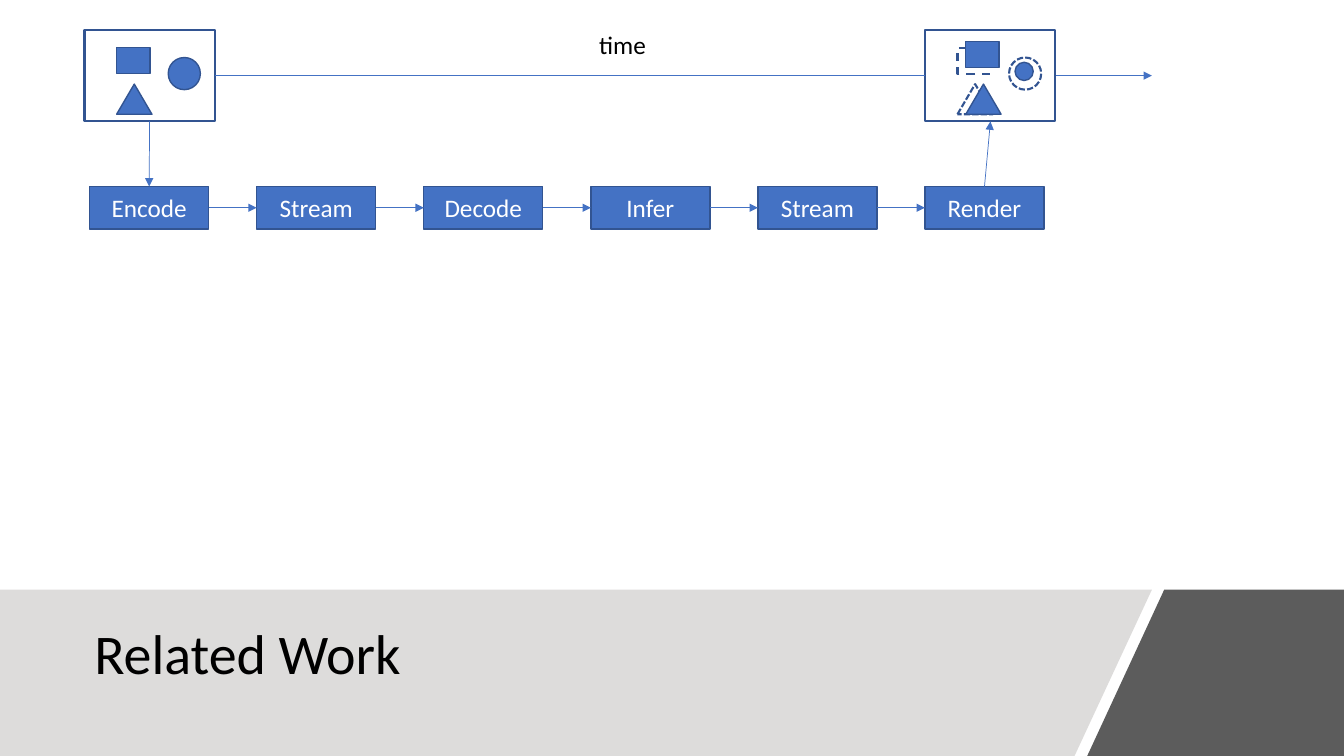
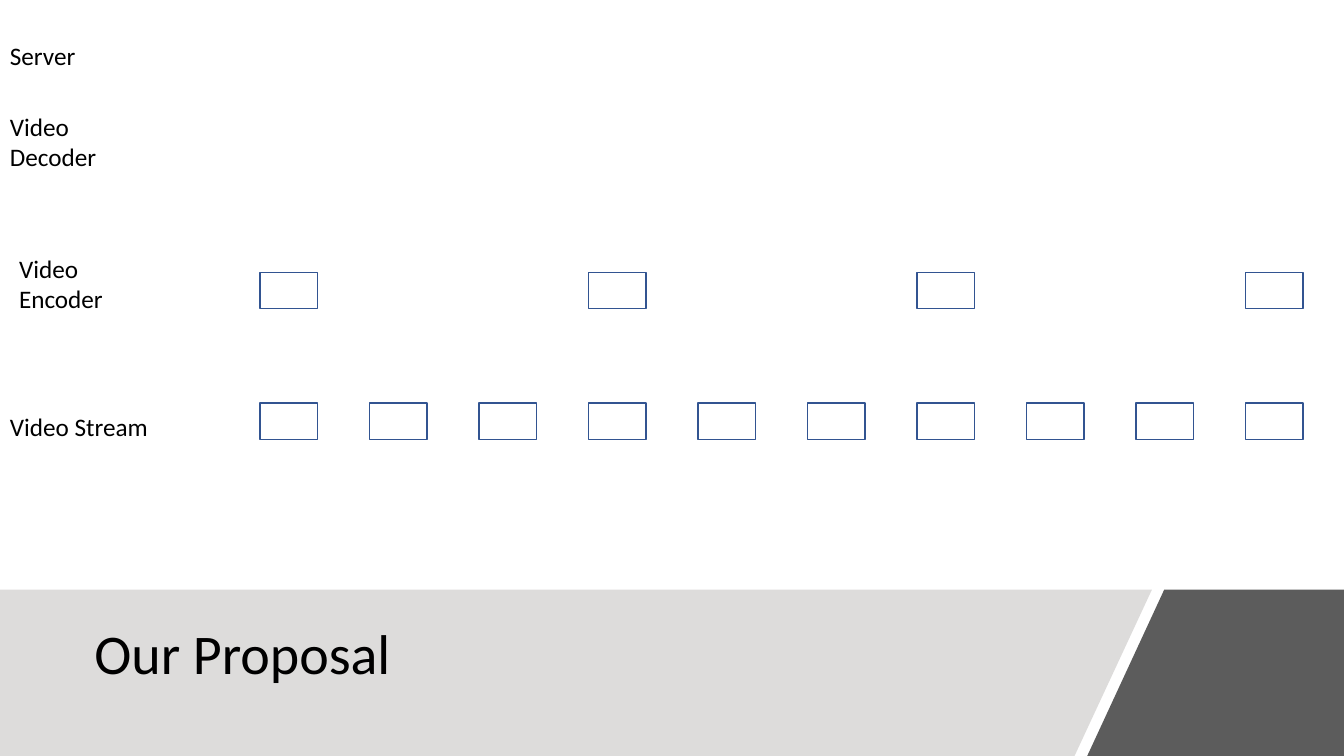
"""Builds two slides: a video inference pipeline and a proposed frame schedule."""
from lxml import etree
from pptx import Presentation
from pptx.dml.color import RGBColor
from pptx.enum.dml import MSO_LINE
from pptx.enum.shapes import MSO_CONNECTOR, MSO_SHAPE
from pptx.enum.text import MSO_ANCHOR, MSO_AUTO_SIZE, PP_ALIGN
from pptx.oxml.ns import qn
from pptx.util import Cm, Pt

RECT, OVAL, TRIANGLE = MSO_SHAPE.RECTANGLE, MSO_SHAPE.OVAL, MSO_SHAPE.ISOSCELES_TRIANGLE
STRAIGHT = MSO_CONNECTOR.STRAIGHT
DASH, SHORT_DASH = MSO_LINE.DASH, MSO_LINE.SQUARE_DOT
LEFT, CENTER = PP_ALIGN.LEFT, PP_ALIGN.CENTER
TOP, MIDDLE, BOTTOM = MSO_ANCHOR.TOP, MSO_ANCHOR.MIDDLE, MSO_ANCHOR.BOTTOM
GROW = MSO_AUTO_SIZE.SHAPE_TO_FIT_TEXT
TOP_SIDE, LEFT_SIDE, BOTTOM_SIDE, RIGHT_SIDE = range(4)

FONT = "Calibri"
BLUE, NAVY, BLACK, WHITE = "4472C4", "325491", "000000", "FFFFFF"
LIGHT_BAND, DARK_BAND = "DDDCDB", "404040"
SLIDE_W, SLIDE_H, BAND_TOP = 33.87, 19.05, 14.86
BANDS = [
    ([(0, BAND_TOP), (29.03, BAND_TOP), (27.08, SLIDE_H), (0, SLIDE_H)], LIGHT_BAND, 100),
    ([(29.34, BAND_TOP), (SLIDE_W, BAND_TOP), (SLIDE_W, SLIDE_H), (27.4, SLIDE_H)], DARK_BAND, 85),
]
TITLE_BOX = (2.13, 15.11, 25.27, 2.31)

STEPS = ["Encode", "Stream", "Decode", "Infer", "Stream", "Render"]
STEP_LEFT, STEP_TOP, STEP_W, STEP_H, STEP_PITCH = 2.26, 4.7, 3.0, 1.07, 4.21
SCENE_TOP, SCENE_W, SCENE_H = 0.75, 3.28, 2.31
FIRST_SCENE, LAST_SCENE, TIME_END = 2.13, 23.32, 29.03
OBJECTS = [
    (OVAL, (2.11, 0.7, 0.81, 0.81), SHORT_DASH),
    (TRIANGLE, (0.81, 1.37, 0.89, 0.76), SHORT_DASH),
    (RECT, (0.81, 0.45, 0.84, 0.66), DASH),
]
MOVED_OBJECTS = [
    (RECT, (1.02, 0.29, 0.84, 0.66)),
    (TRIANGLE, (1.02, 1.37, 0.89, 0.76)),
    (OVAL, (2.26, 0.82, 0.46, 0.46)),
]
TIME_LABEL = (["time"], (14.05, 0.61, 3.28, 1.02))

ROW_LABELS = [
    (["Server"], (0, 0.89, 3.45, 1.02)),
    (["Video", "Decoder"], (0, 2.67, 3.71, 1.8)),
    (["Video", "Encoder"], (0.23, 6.25, 3.71, 1.8)),
    (["Video Stream"], (0, 10.24, 4.55, 1.02)),
]
FRAME_COUNT, FRAME_LEFT, FRAME_PITCH, FRAME_W, FRAME_H = 10, 6.55, 2.76, 1.45, 0.92
FRAME_ROWS = [(6.86, 3), (10.16, 1)]


def color(hex_code):
    return RGBColor.from_string(hex_code)


def cm(values):
    return [Cm(value) for value in values]


def write(box, lines, size, ink, align, anchor):
    frame = box.text_frame
    frame.word_wrap = True
    frame.vertical_anchor = anchor
    for index, line in enumerate(lines):
        paragraph = frame.paragraphs[0] if index == 0 else frame.add_paragraph()
        paragraph.alignment = align
        run = paragraph.add_run()
        run.text = line
        run.font.name, run.font.size = FONT, Pt(size)
        run.font.color.rgb = color(ink)
    return frame


def add_label(slide, lines, box, align=LEFT):
    label = slide.shapes.add_textbox(*cm(box))
    write(label, lines, 18, BLACK, align, TOP).auto_size = GROW


def add_outlined(shapes, kind, box, fill=None, weight=1, dash=None):
    shape = shapes.add_shape(kind, *cm(box))
    shape.shadow.inherit = False
    if fill:
        shape.fill.solid()
        shape.fill.fore_color.rgb = color(fill)
    else:
        shape.fill.background()
    shape.line.color.rgb = color(NAVY)
    shape.line.width = Pt(weight)
    if dash:
        shape.line.dash_style = dash
    return shape


def add_link(slide, start, start_side, end=None, end_side=None, end_point=(0, 0), arrow=True):
    link = slide.shapes.add_connector(STRAIGHT, 0, 0, *end_point)
    link.begin_connect(start, start_side)
    if end is not None:
        link.end_connect(end, end_side)
    link.line.color.rgb = color(BLUE)
    link.line.width = Pt(0.5)
    if arrow:
        etree.SubElement(link.line._get_or_add_ln(), qn("a:tailEnd"), type="triangle")
    etree.SubElement(link._element.spPr, qn("a:effectLst"))


def add_scene(slide, left, moved):
    scene = slide.shapes.add_group_shape().shapes
    border = add_outlined(scene, RECT, (left, SCENE_TOP, SCENE_W, SCENE_H), weight=1.5)
    for kind, (x, y, w, h), dash in OBJECTS:
        box = (left + x, SCENE_TOP + y, w, h)
        if moved:
            add_outlined(scene, kind, box, weight=1.5, dash=dash)
        else:
            add_outlined(scene, kind, box, BLUE)
    return border


def add_base(deck, title):
    slide = deck.slides.add_slide(deck.slide_layouts[6])
    for corners, fill, opacity in BANDS:
        points = [tuple(cm(corner)) for corner in corners]
        outline = slide.shapes.build_freeform(*points[0])
        outline.add_line_segments(points[1:], close=True)
        band = outline.convert_to_shape()
        band.shadow.inherit = False
        band.fill.solid()
        band.fill.fore_color.rgb = color(fill)
        band.line.fill.background()
        if opacity < 100:
            tint = band._element.spPr.find(".//" + qn("a:srgbClr"))
            etree.SubElement(tint, qn("a:alpha"), val=str(opacity * 1000))
    heading = slide.shapes.add_textbox(*cm(TITLE_BOX))
    write(heading, [title], 40, BLACK, LEFT, BOTTOM).paragraphs[0].line_spacing = 0.9
    return slide


def build_related_work(deck):
    slide = add_base(deck, "Related Work")
    first = add_scene(slide, FIRST_SCENE, moved=False)
    steps = []
    for index, name in enumerate(STEPS):
        box = (STEP_LEFT + index * STEP_PITCH, STEP_TOP, STEP_W, STEP_H)
        step = add_outlined(slide.shapes, RECT, box, BLUE)
        write(step, [name], 18, WHITE, CENTER, MIDDLE)
        steps.append(step)
    add_label(slide, *TIME_LABEL, align=CENTER)
    last = add_scene(slide, LAST_SCENE, moved=True)
    for kind, (x, y, w, h) in MOVED_OBJECTS:
        add_outlined(slide.shapes, kind, (LAST_SCENE + x, SCENE_TOP + y, w, h), BLUE)
    add_link(slide, first, BOTTOM_SIDE, steps[0], TOP_SIDE)
    for step, following in zip(steps, steps[1:]):
        add_link(slide, step, RIGHT_SIDE, following, LEFT_SIDE)
    add_link(slide, steps[-1], TOP_SIDE, last, BOTTOM_SIDE)
    add_link(slide, first, RIGHT_SIDE, last, LEFT_SIDE, arrow=False)
    time_end = cm((TIME_END, SCENE_TOP + SCENE_H / 2))
    add_link(slide, last, RIGHT_SIDE, end_point=time_end)


def build_proposal(deck):
    slide = add_base(deck, "Our Proposal")
    for lines, box in ROW_LABELS:
        add_label(slide, lines, box)
    for top, stride in FRAME_ROWS:
        for index in range(0, FRAME_COUNT, stride):
            left = FRAME_LEFT + index * FRAME_PITCH
            add_outlined(slide.shapes, RECT, (left, top, FRAME_W, FRAME_H))


def main():
    deck = Presentation()
    deck.slide_width, deck.slide_height = cm((SLIDE_W, SLIDE_H))
    build_related_work(deck)
    build_proposal(deck)
    deck.save("out.pptx")


if __name__ == "__main__":
    main()
